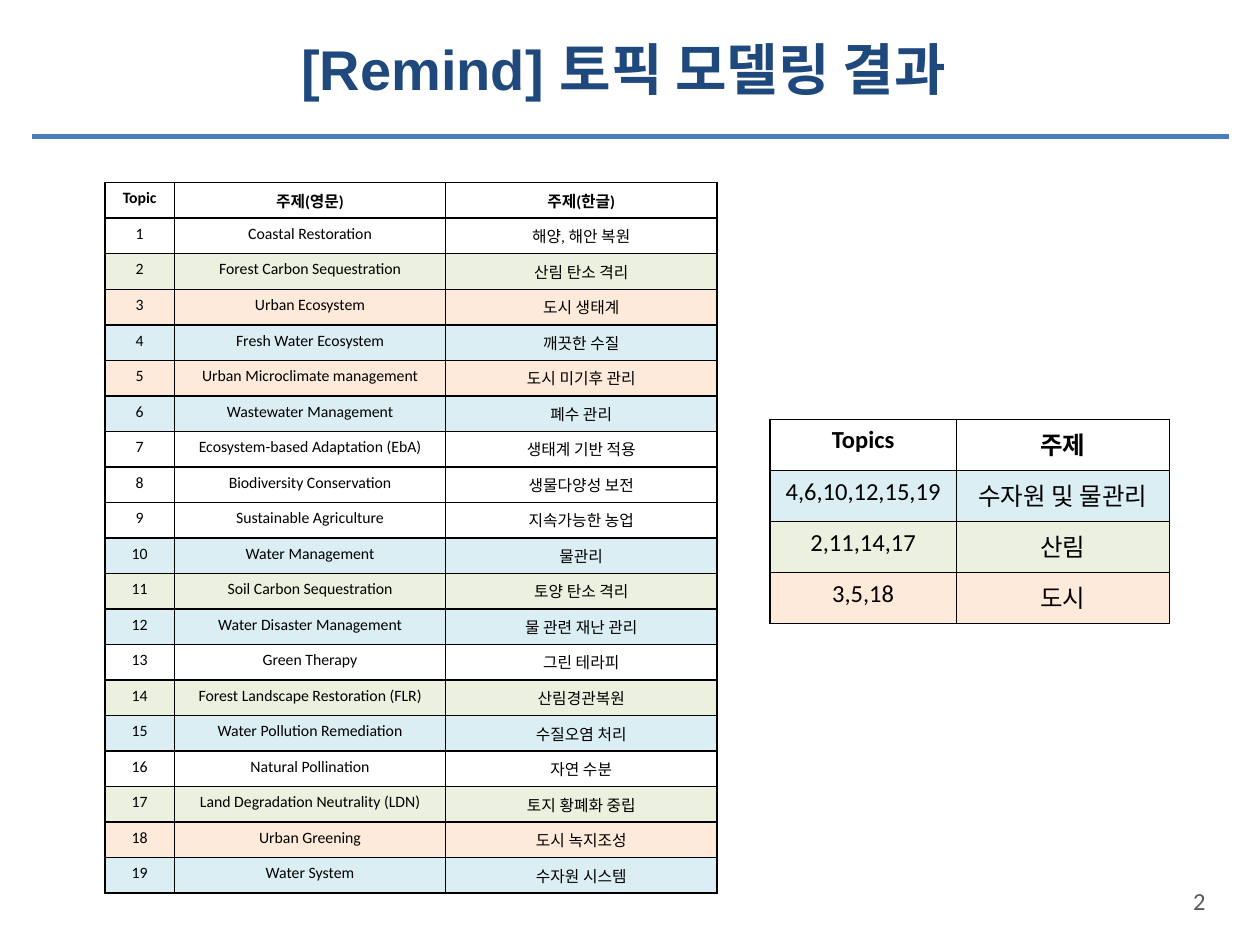
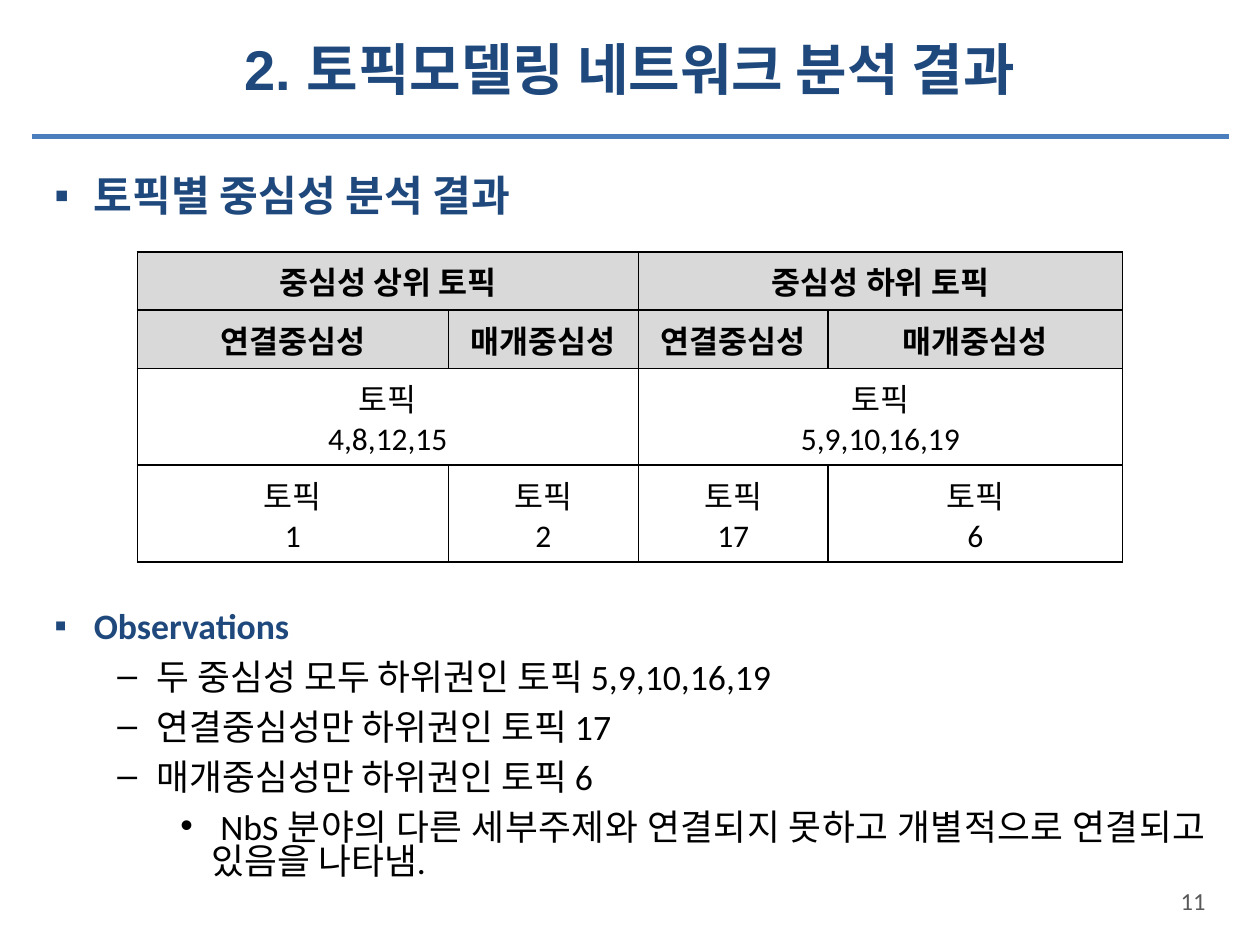
from lxml.etree import SubElement
from pptx import Presentation
from pptx.dml.color import RGBColor
from pptx.enum.shapes import MSO_CONNECTOR as Connector
from pptx.enum.text import MSO_ANCHOR as Anchor, PP_ALIGN as Align
from pptx.oxml import parse_xml
from pptx.oxml.ns import nsdecls, qn
from pptx.util import Pt

COLORS = {
    "navy": "1F497D", "rule": "4B7EBC", "gray": "595959", "black": "000000",
    "header": "D9D9D9", "water": "DBEEF4", "forest": "EBF1DE", "city": "FDEADA",
}
BODY_FONT, TITLE_FONT = "Calibri", "Arial"

TOPICS = [
    ("Coastal Restoration", "해양, 해안 복원"),
    ("Forest Carbon Sequestration", "산림 탄소 격리"),
    ("Urban Ecosystem", "도시 생태계"),
    ("Fresh Water Ecosystem", "깨끗한 수질"),
    ("Urban Microclimate management", "도시 미기후 관리"),
    ("Wastewater Management", "폐수 관리"),
    ("Ecosystem-based Adaptation (EbA)", "생태계 기반 적용"),
    ("Biodiversity Conservation", "생물다양성 보전"),
    ("Sustainable Agriculture", "지속가능한 농업"),
    ("Water Management", "물관리"),
    ("Soil Carbon Sequestration", "토양 탄소 격리"),
    ("Water Disaster Management", "물 관련 재난 관리"),
    ("Green Therapy", "그린 테라피"),
    ("Forest Landscape Restoration (FLR)", "산림경관복원"),
    ("Water Pollution Remediation", "수질오염 처리"),
    ("Natural Pollination", "자연 수분"),
    ("Land Degradation Neutrality (LDN)", "토지 황폐화 중립"),
    ("Urban Greening", "도시 녹지조성"),
    ("Water System", "수자원 시스템"),
]
GROUPS = [
    ("4,6,10,12,15,19", "수자원 및 물관리", "water"),
    ("2,11,14,17", "산림", "forest"),
    ("3,5,18", "도시", "city"),
]
# None continues the cell on its left
CENTRALITY = [
    ("중심성 상위 토픽", None, "중심성 하위 토픽", None),
    ("연결중심성", "매개중심성", "연결중심성", "매개중심성"),
    ("토픽\n4,8,12,15", None, "토픽\n5,9,10,16,19", None),
    ("토픽\n1", "토픽\n2", "토픽\n17", "토픽\n6"),
]
OBSERVATIONS = [
    (0, "Observations"),
    (1, "두 중심성 모두 하위권인 토픽 5,9,10,16,19"),
    (1, "연결중심성만 하위권인 토픽 17"),
    (1, "매개중심성만 하위권인 토픽 6"),
    (2, " NbS 분야의 다른 세부주제와 연결되지 못하고 개별적으로 연결되고 있음을 나타냄."),
]
# Per level: bullet, left margin, hanging indent, color
LEVELS = [("▪", 22.5, 22.5, "navy"), ("–", 58.5, 22.5, "black"), ("•", 90, 18, "black")]


def rgb(name):
    return RGBColor.from_string(COLORS[name])


def set_font(paragraph, size, color="black", bold=False, name=BODY_FONT):
    font = paragraph.font
    font.name, font.size, font.bold = name, Pt(size), bold
    font.color.rgb = rgb(color)


def add_text_box(slide, box, anchor=Anchor.TOP):
    shape = slide.shapes.add_textbox(*map(Pt, box))
    frame = shape.text_frame
    frame.word_wrap = True
    frame.vertical_anchor = anchor
    return frame


def add_line_of_text(slide, box, text, align, **font):
    paragraph = add_text_box(slide, box, Anchor.MIDDLE).paragraphs[0]
    paragraph.text = text
    paragraph.alignment = align
    set_font(paragraph, **font)


def add_page(presentation, title, number):
    """Blank slide with the shared rule, title and page number."""
    slide = presentation.slides.add_slide(presentation.slide_layouts[6])
    rule = slide.shapes.add_connector(Connector.STRAIGHT, Pt(18), Pt(78), Pt(702), Pt(78))
    rule.line.color.rgb = rgb("rule")
    rule.line.width = Pt(2.5)
    SubElement(rule._element.spPr, qn("a:effectLst"))
    add_line_of_text(slide, (24, 12, 672, 54), title, Align.CENTER,
                     size=32, color="navy", bold=True, name=TITLE_FONT)
    add_line_of_text(slide, (612, 500, 84, 29), str(number), Align.RIGHT,
                     size=14, color="gray")
    return slide


def add_borders(cell):
    properties = cell._tc.get_or_add_tcPr()
    for index, side in enumerate("LRTB"):
        properties.insert(index, parse_xml(
            f'<a:ln{side} {nsdecls("a")} w="12700"><a:solidFill>'
            f'<a:srgbClr val="{COLORS["black"]}"/></a:solidFill></a:ln{side}>'))


def add_grid(slide, left, top, widths, heights, rows, fills, size, header_rows=1):
    """Bordered, centred table; fills holds a color name or None per row."""
    table = slide.shapes.add_table(len(rows), len(widths), Pt(left), Pt(top),
                                   Pt(sum(widths)), Pt(sum(heights))).table
    table.first_row = table.horz_banding = False
    for column, width in zip(table.columns, widths):
        column.width = Pt(width)
    for row_index, (values, fill, height) in enumerate(zip(rows, fills, heights)):
        table.rows[row_index].height = Pt(height)
        for column_index, value in enumerate(values):
            cell = table.cell(row_index, column_index)
            if fill:
                cell.fill.solid()
                cell.fill.fore_color.rgb = rgb(fill)
            else:
                cell.fill.background()
            add_borders(cell)
            if value is None:
                table.cell(row_index, column_index - 1).merge(cell)
                continue
            cell.text = value
            for paragraph in cell.text_frame.paragraphs:
                paragraph.alignment = Align.CENTER
                set_font(paragraph, size, bold=row_index < header_rows)


def add_bullets(slide, box, items, size):
    frame = add_text_box(slide, box)
    for index, (level, text) in enumerate(items):
        paragraph = frame.add_paragraph() if index else frame.paragraphs[0]
        bullet, margin, hanging, color = LEVELS[level]
        paragraph.text = text
        paragraph.level = level
        paragraph.line_spacing = 0.8
        if index:
            paragraph.space_before = Pt(9)
        if level == 2:
            paragraph.alignment = Align.JUSTIFY
        properties = paragraph._p.get_or_add_pPr()
        properties.set("marL", str(Pt(margin)))
        properties.set("indent", str(-Pt(hanging)))
        bullet_color = SubElement(properties, qn("a:buClr"))
        SubElement(bullet_color, qn("a:srgbClr"), val=COLORS[color])
        SubElement(properties, qn("a:buFont"), typeface=TITLE_FONT)
        SubElement(properties, qn("a:buChar"), char=bullet)
        set_font(paragraph, size, color, bold=level == 0)


def add_topic_slide(presentation):
    slide = add_page(presentation, "[Remind] 토픽 모델링 결과 ", 2)
    # All topics, tinted by their group
    tint = {number: fill for members, _, fill in GROUPS for number in members.split(",")}
    rows = [("Topic", "주제(영문)", "주제(한글)")]
    rows += [(str(number), *names) for number, names in enumerate(TOPICS, 1)]
    add_grid(slide, 60, 104.4, (39.6, 155, 155), [20.3] * len(rows), rows,
             [tint.get(row[0]) for row in rows], size=9)
    # Topic groups
    rows = [("Topics", "주제")] + [group[:2] for group in GROUPS]
    add_grid(slide, 440, 239.6, (106.5, 121.7), [29.2] * len(rows), rows,
             [None] + [group[2] for group in GROUPS], size=14)


def add_centrality_slide(presentation):
    slide = add_page(presentation, "2. 토픽모델링 네트워크 분석 결과", 11)
    add_bullets(slide, (24, 99, 672, 36), [(0, "토픽별 중심성 분석 결과")], size=24.1)
    # Topics ranked by centrality
    add_grid(slide, 78.5, 144, (177.8, 108.5, 108.5, 168.3), (33.3, 33.3, 55.3, 55.3),
             CENTRALITY, ("header", "header", None, None), size=18, header_rows=2)
    add_bullets(slide, (24, 346.5, 672, 180), OBSERVATIONS, size=20.4)


def main():
    presentation = Presentation()
    presentation.slide_width, presentation.slide_height = Pt(720), Pt(540)
    add_topic_slide(presentation)
    add_centrality_slide(presentation)
    presentation.save("out.pptx")


if __name__ == "__main__":
    main()
